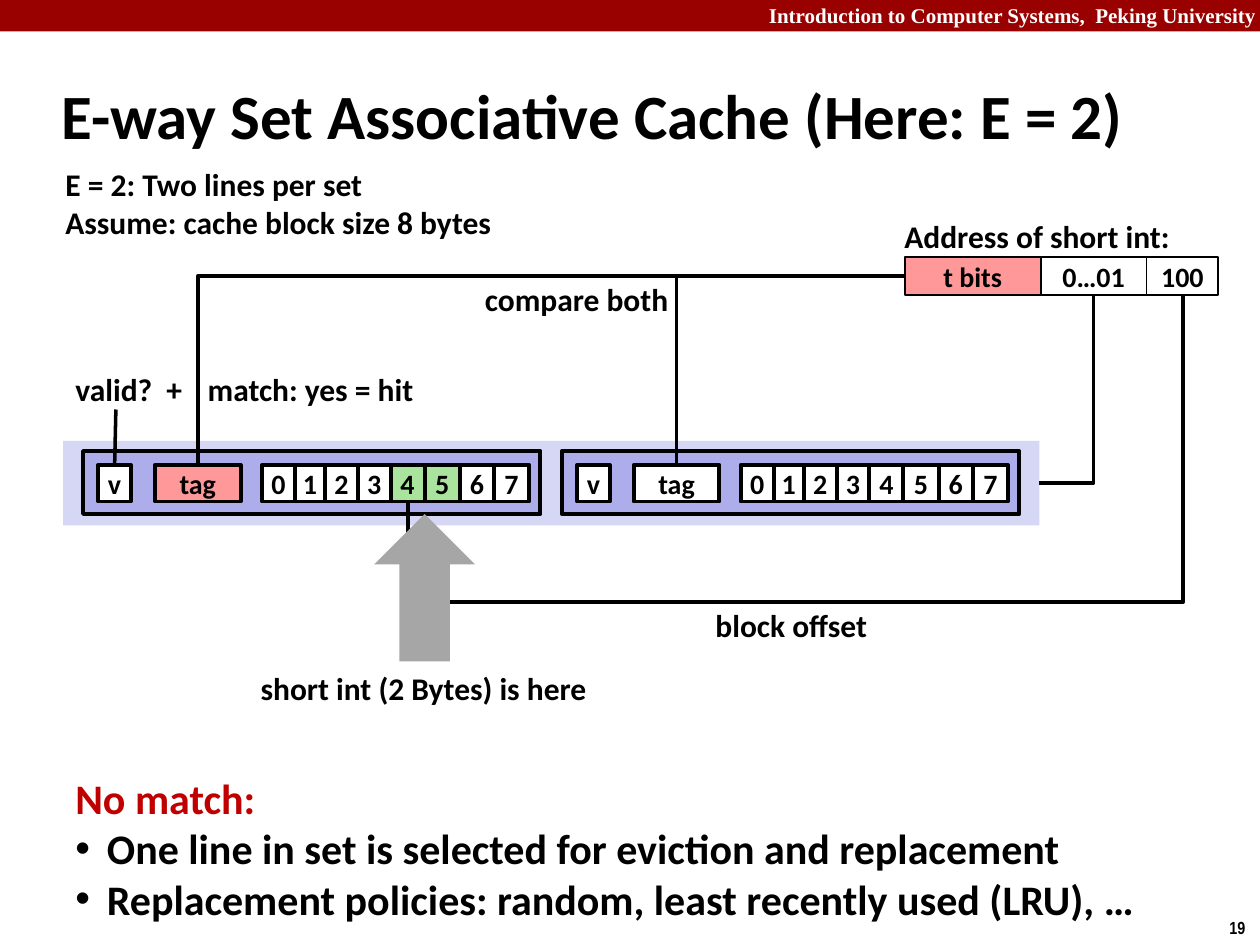
from lxml import etree
from pptx import Presentation
from pptx.dml.color import RGBColor
from pptx.enum.shapes import MSO_CONNECTOR, MSO_SHAPE
from pptx.enum.text import MSO_ANCHOR, PP_ALIGN
from pptx.oxml.ns import qn
from pptx.util import Pt

PX = 9144
RECT, UP_ARROW = MSO_SHAPE.RECTANGLE, MSO_SHAPE.UP_ARROW
STRAIGHT, ELBOW = MSO_CONNECTOR.STRAIGHT, MSO_CONNECTOR.ELBOW
MIDDLE, TOP_ANCHOR = MSO_ANCHOR.MIDDLE, MSO_ANCHOR.TOP
LEFT_ALIGN, CENTER, RIGHT_ALIGN = PP_ALIGN.LEFT, PP_ALIGN.CENTER, PP_ALIGN.RIGHT
TOP, LEFT, BOTTOM, RIGHT = 0, 1, 2, 3

THEME = {
    "black": "000000", "white": "FFFFFF", "banner": "990000", "red": "C00000",
    "match": "FF9999", "hit": "A9E39D", "set": "D6D6F5", "line": "ADADEB",
    "arrow": "A6A6A6",
    "font": "Calibri", "banner font": "Times New Roman", "number font": "Arial Narrow",
    "title": 36, "notes": 24, "label": 18, "cell": 16, "course": 12, "number": 10,
    "thin": 1, "wire": 2, "frame": 2.25,
}

prs = Presentation()
prs.slide_width, prs.slide_height = 1000 * PX, 750 * PX
slide = prs.slides.add_slide(prs.slide_layouts[6])
shapes = slide.shapes


def write(shape, lines, size, color="black", font="font", align=LEFT_ALIGN,
          anchor=TOP_ANCHOR, wrap=False):
    frame = shape.text_frame
    frame.word_wrap = wrap
    frame.vertical_anchor = anchor
    for i, line in enumerate(lines):
        paragraph = frame.paragraphs[0] if i == 0 else frame.add_paragraph()
        paragraph.alignment = align
        run = paragraph.add_run()
        run.text = line
        run.font.size = Pt(THEME[size])
        run.font.name = THEME[font]
        run.font.bold = True
        run.font.color.rgb = RGBColor.from_string(THEME[color])
    return frame


def block(x, y, w, h, fill, border=None, text=None, kind=RECT):
    shape = shapes.add_shape(kind, x * PX, y * PX, w * PX, h * PX)
    shape.shadow.inherit = False
    shape.fill.solid()
    shape.fill.fore_color.rgb = RGBColor.from_string(THEME[fill])
    if border:
        shape.line.color.rgb = RGBColor.from_string(THEME["black"])
        shape.line.width = Pt(THEME[border])
    else:
        shape.line.fill.background()
    if text:
        write(shape, [text], "cell", align=CENTER, anchor=MIDDLE)
    return shape


block(0, 0, 1000, 25, "banner")
course = shapes.add_textbox(600 * PX, -3 * PX, 407 * PX, 30 * PX)
write(course, ["Introduction to Computer Systems,  Peking University"], "course",
      "white", "banner font", RIGHT_ALIGN, wrap=True)
page_number = shapes.add_textbox(966 * PX, 723 * PX, 34 * PX, 27 * PX)
write(page_number, ["19"], "number", font="number font")
title = shapes.add_textbox(39 * PX, 49 * PX, 902 * PX, 83 * PX)
write(title, ["E-way Set Associative Cache (Here: E = 2)"], "title",
      anchor=MIDDLE, wrap=True)

address_edges = [718, 826, 910, 967]
address_fields = [("t bits", "match"), ("0…01", "white"), ("100", "white")]
address = []
for x, x_end, (text, fill) in zip(address_edges, address_edges[1:], address_fields):
    address.append(block(x, 204, x_end - x, 30, fill, "thin", text))
tag_bits, set_index, offset_bits = address

cache_set = block(50, 350, 775, 67, "set")
byte_edges = [208, 234, 258, 284, 310, 337, 365, 392, 420]
cache_lines = []
for shift, frame_x, tag_fill, hit_bytes in [(0, 66, "match", (4, 5)), (380, 446, "white", ())]:
    block(frame_x, 358, 363, 50, "line", "frame")
    parts = {}
    for name, x, w, fill in [("v", 78, 26, "white"), ("tag", 123, 68, tag_fill)]:
        parts[name] = block(x + shift, 369, w, 29, fill, "frame", name)
    for i, (x, x_end) in enumerate(zip(byte_edges, byte_edges[1:])):
        fill = "hit" if i in hit_bytes else "white"
        parts[i] = block(x + shift, 369, x_end - x, 29, fill, "frame", str(i))
    cache_lines.append(parts)
first_line, second_line = cache_lines

wires = [
    (STRAIGHT, None, None, first_line["v"], TOP, None),
    (ELBOW, cache_set, RIGHT, set_index, BOTTOM, "bentConnector2"),
    (ELBOW, tag_bits, LEFT, second_line["tag"], TOP, "bentConnector2"),
    (ELBOW, tag_bits, LEFT, first_line["tag"], TOP, "bentConnector2"),
    (ELBOW, offset_bits, BOTTOM, first_line[4], BOTTOM, None),
]
for kind, source, source_side, target, target_side, preset in wires:
    wire = shapes.add_connector(kind, 92 * PX, 325 * PX, 91 * PX, 369 * PX)
    if source:
        wire.begin_connect(source, source_side)
    wire.end_connect(target, target_side)
    wire.line.color.rgb = RGBColor.from_string(THEME["black"])
    wire.line.width = Pt(THEME["wire"])
    properties = wire._element.spPr
    etree.SubElement(properties, qn("a:effectLst"))
    if preset:
        properties.find(qn("a:prstGeom")).set("prst", preset)

offset_wire = wire
offset_wire.left, offset_wire.top = 549 * PX, 8 * PX
offset_wire.width, offset_wire.height = 165 * PX, 615 * PX
transform = properties.find(qn("a:xfrm"))
transform.attrib.pop("flipH", None)
transform.attrib.pop("flipV", None)
transform.set("rot", "5400000")
geometry = properties.find(qn("a:prstGeom"))
adjustments = geometry.find(qn("a:avLst"))
if adjustments is None:
    adjustments = etree.SubElement(geometry, qn("a:avLst"))
etree.SubElement(adjustments, qn("a:gd"), name="adj1", fmla="val 148400")

block(297, 408, 80, 117, "arrow", kind=UP_ARROW)

labels = [
    (42, 126, 361, 71, ["E = 2: Two lines per set", "Assume: cache block size 8 bytes"]),
    (708, 167, 233, 40, ["Address of short int:"]),
    (375, 217, 167, 40, ["compare both"]),
    (50, 289, 112, 40, ["valid?  +"]),
    (155, 289, 185, 40, ["match: yes = hit"]),
    (558, 476, 142, 40, ["block offset"]),
    (197, 526, 281, 40, ["short int (2 Bytes) is here"]),
]
for x, y, w, h, lines in labels:
    label = shapes.add_textbox(x * PX, y * PX, w * PX, h * PX)
    write(label, lines, "label")

policy = shapes.add_textbox(50 * PX, 608 * PX, 873 * PX, 131 * PX)
policy_frame = write(policy, [
    "No match:",
    "One line in set is selected for eviction and replacement",
    "Replacement policies: random, least recently used (LRU), …",
], "notes")
heading, *bullets = policy_frame.paragraphs
heading.runs[0].font.color.rgb = RGBColor.from_string(THEME["red"])
for bullet in bullets:
    layout = bullet._p.get_or_add_pPr()
    layout.set("marL", str(25 * PX))
    layout.set("indent", str(-25 * PX))
    etree.SubElement(layout, qn("a:buFont"), typeface="Arial")
    etree.SubElement(layout, qn("a:buChar"), char="•")

prs.save("out.pptx")
